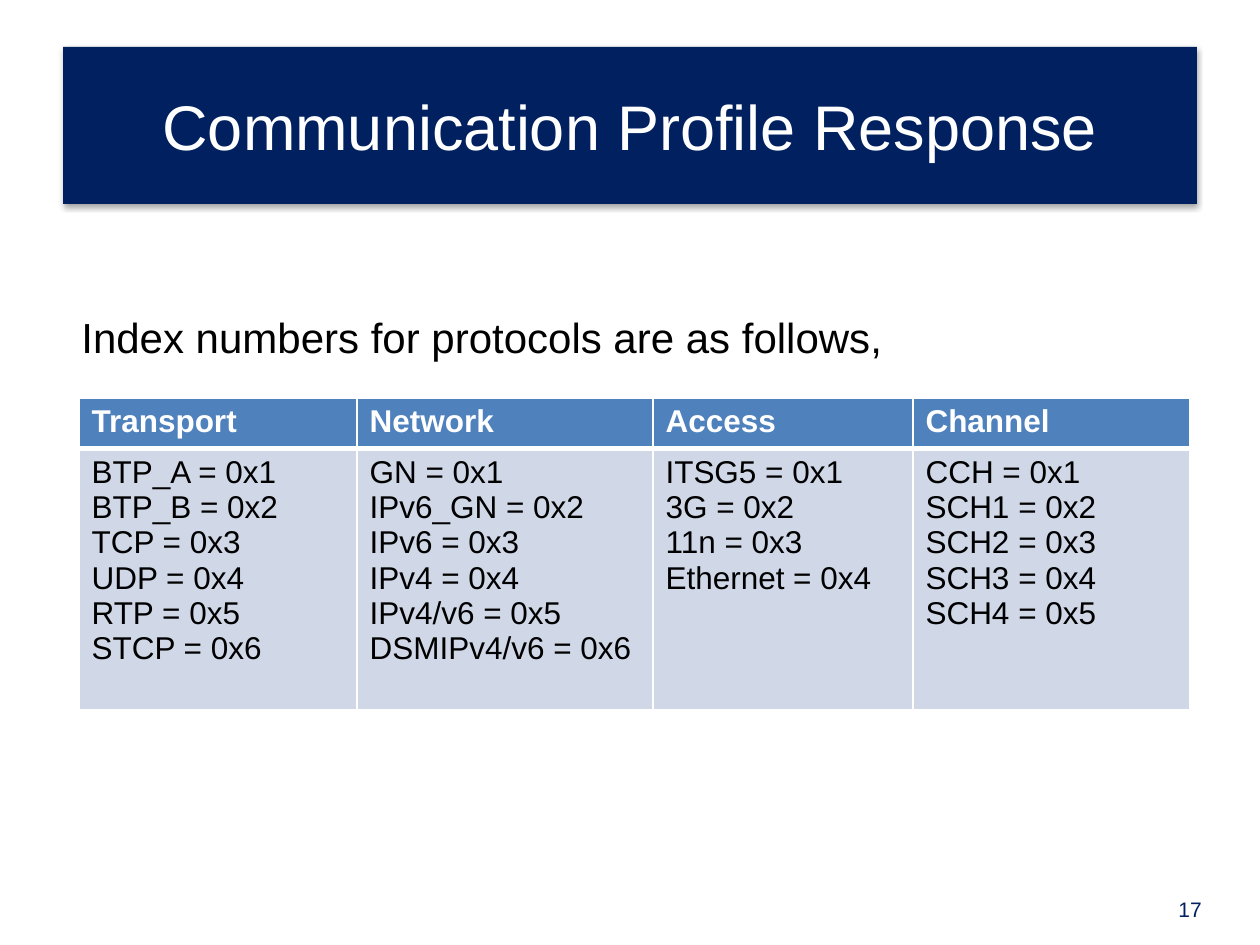
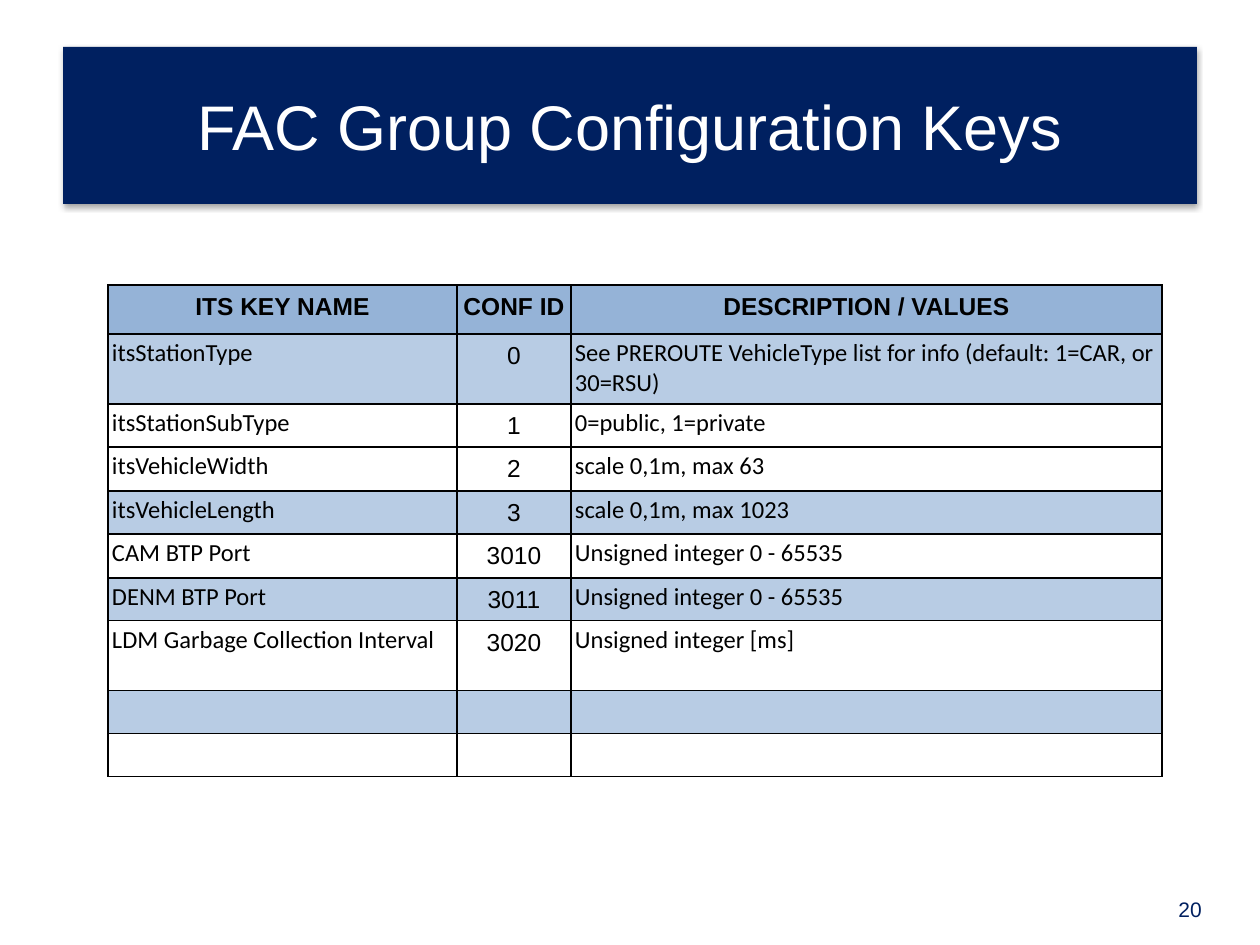
from itertools import pairwise

from lxml.etree import SubElement
from pptx import Presentation
from pptx.dml.color import RGBColor
from pptx.enum.text import MSO_ANCHOR as Anchor, MSO_AUTO_SIZE as AutoSize, PP_ALIGN as Align
from pptx.oxml import parse_xml
from pptx.oxml.ns import nsdecls, qn
from pptx.util import Emu, Inches, Pt

PIXEL = Inches(1) / 126
COLORS = {
    "navy": "002060",
    "white": "FFFFFF",
    "black": "000000",
    "protocol_header": "4F81BD",
    "protocol_body": "D0D8E8",
    "key_header": "95B3D7",
    "key_band": "B8CCE4",
}
TITLE_ONLY = 5
KEY_INSET = 4

PROTOCOL_COLUMNS = [79, 357, 653, 913, 1190]
PROTOCOL_ROWS = [398, 446, 707]
PROTOCOLS = {
    "Transport": ["BTP_A", "BTP_B", "TCP", "UDP", "RTP", "STCP"],
    "Network": ["GN", "IPv6_GN", "IPv6", "IPv4", "IPv4/v6", "DSMIPv4/v6"],
    "Access": ["ITSG5", "3G", "11n", "Ethernet"],
    "Channel": ["CCH", "SCH1", "SCH2", "SCH3", "SCH4"],
}

KEY_COLUMNS = [108, 457, 571, 1162]
KEY_ROWS = [285, 334, 404, 447, 491, 534, 578, 621, 691, 734, 777]
BANDED_ROWS = {1, 4, 6, 8}
KEYS = [
    ("ITS KEY NAME", "CONF ID", "DESCRIPTION / VALUES"),
    ("itsStationType", "0",
     "See PREROUTE VehicleType list for info (default: 1=CAR, or 30=RSU)"),
    ("itsStationSubType", "1", "0=public, 1=private"),
    ("itsVehicleWidth", "2", "scale 0,1m, max 63"),
    ("itsVehicleLength", "3", "scale 0,1m, max 1023"),
    ("CAM BTP Port", "3010", "Unsigned integer 0 - 65535"),
    ("DENM BTP Port", "3011", "Unsigned integer 0 - 65535"),
    ("LDM Garbage Collection Interval", "3020", "Unsigned integer [ms]"),
    ("", "", ""),
    ("", "", ""),
]


def px(length):
    """Turn picture pixels into EMU."""
    return Emu(round(length * PIXEL))


def rgb(name):
    """Look up a named colour."""
    return RGBColor.from_string(COLORS[name])


def write(frame, text, size=18, font="Arial", color="black", bold=False,
          align=Align.LEFT, spacing=None, before=None):
    """Write text into a frame, one paragraph for each line."""
    for index, line in enumerate(text.split("\n")):
        para = frame.paragraphs[0] if index == 0 else frame.add_paragraph()
        para.alignment = align
        para.line_spacing = spacing
        para.space_before = before
        if not line:
            SubElement(para._p, qn("a:endParaRPr"), sz=str(size * 100))
            continue
        span = para.add_run()
        span.text = line
        span.font.name = font
        span.font.size = Pt(size)
        span.font.bold = bold
        span.font.color.rgb = rgb(color)


def add_text(page, left, top, width, height, text, **style):
    """Add a wrapping text box."""
    box = page.shapes.add_textbox(px(left), px(top), px(width), px(height))
    box.text_frame.word_wrap = True
    write(box.text_frame, text, **style)


def add_shadow(shape):
    """Give a shape a soft shadow straight below it."""
    shape.shadow.inherit = False
    effects = shape._element.spPr.find(qn("a:effectLst"))
    effects.append(parse_xml(
        f'<a:outerShdw {nsdecls("a")} blurRad="40000" dist="23000" dir="5400000"'
        f' rotWithShape="0"><a:srgbClr val="{COLORS["black"]}">'
        '<a:alpha val="35000"/></a:srgbClr></a:outerShdw>'))


def add_page(deck, title, number):
    """Add a slide with its title band and page number."""
    page = deck.slides.add_slide(deck.slide_layouts[TITLE_ONLY])
    band = page.shapes.title
    band.left, band.top, band.width, band.height = map(px, (63, 47, 1134, 157))
    band.fill.solid()
    band.fill.fore_color.rgb = rgb("navy")
    band.line.fill.background()
    add_shadow(band)
    frame = band.text_frame
    frame.auto_size = AutoSize.NONE
    frame.vertical_anchor = Anchor.MIDDLE
    write(frame, title, size=36, color="white", align=Align.CENTER)
    add_text(page, 1166, 890, 69, 38, str(number), size=12, color="navy")
    return page


def add_grid(page, columns, rows):
    """Add an unstyled table from the positions of its grid lines."""
    table = page.shapes.add_table(
        len(rows) - 1, len(columns) - 1, px(columns[0]), px(rows[0]),
        px(columns[-1] - columns[0]), px(rows[-1] - rows[0])).table
    table.first_row = table.horz_banding = False
    for column, (start, end) in zip(table.columns, pairwise(columns)):
        column.width = px(end - start)
    for row, (start, end) in zip(table.rows, pairwise(rows)):
        row.height = px(end - start)
    return table


def format_cell(cell, fill, border, top=1, bottom=1, inset=None):
    """Set the fill, the borders and, if given, the margins of a cell."""
    if fill:
        cell.fill.solid()
        cell.fill.fore_color.rgb = rgb(fill)
    else:
        cell.fill.background()
    widths = {"lnL": 1, "lnR": 1, "lnT": top, "lnB": bottom}
    for index, (tag, width) in enumerate(widths.items()):
        cell._tc.tcPr.insert(index, parse_xml(
            f'<a:{tag} {nsdecls("a")} w="{Pt(width)}"><a:solidFill>'
            f'<a:srgbClr val="{COLORS[border]}"/></a:solidFill></a:{tag}>'))
    if inset is not None:
        cell.margin_left = cell.margin_right = px(inset)
        cell.margin_top = cell.margin_bottom = px(inset)


def add_protocol_table(page):
    """Add the table of protocol index numbers, counted from 1."""
    table = add_grid(page, PROTOCOL_COLUMNS, PROTOCOL_ROWS)
    for column, (heading, names) in enumerate(PROTOCOLS.items()):
        header, body = table.cell(0, column), table.cell(1, column)
        format_cell(header, "protocol_header", "white", bottom=3)
        write(header.text_frame, heading, color="white", bold=True)
        format_cell(body, "protocol_body", "white", top=3)
        lines = [f"{name} = 0x{index}" for index, name in enumerate(names, 1)]
        write(body.text_frame, "\n".join(lines))


def add_key_table(page):
    """Add the table of configuration keys."""
    table = add_grid(page, KEY_COLUMNS, KEY_ROWS)
    centred = {"align": Align.CENTER, "spacing": 1.15}
    plain = {"font": "Calibri", "before": Pt(3)}
    for row, values in enumerate(KEYS):
        is_header = row == 0
        band = "key_band" if row in BANDED_ROWS else None
        for column, value in enumerate(values):
            cell = table.cell(row, column)
            format_cell(cell, "key_header" if is_header else band, "black",
                        inset=KEY_INSET)
            style = centred if is_header or column == 1 else plain
            write(cell.text_frame, value, size=14, bold=is_header, **style)


def main():
    """Build both slides and save the deck."""
    deck = Presentation()
    deck.slide_width, deck.slide_height = Inches(10), Inches(7.5)

    page = add_page(deck, "Communication Profile Response", 17)
    add_protocol_table(page)
    add_text(page, 69, 305, 1103, 63, "Index numbers for protocols are as follows,",
             size=24)

    page = add_page(deck, "FAC Group Configuration Keys", 20)
    add_key_table(page)

    deck.save("out.pptx")


main()
